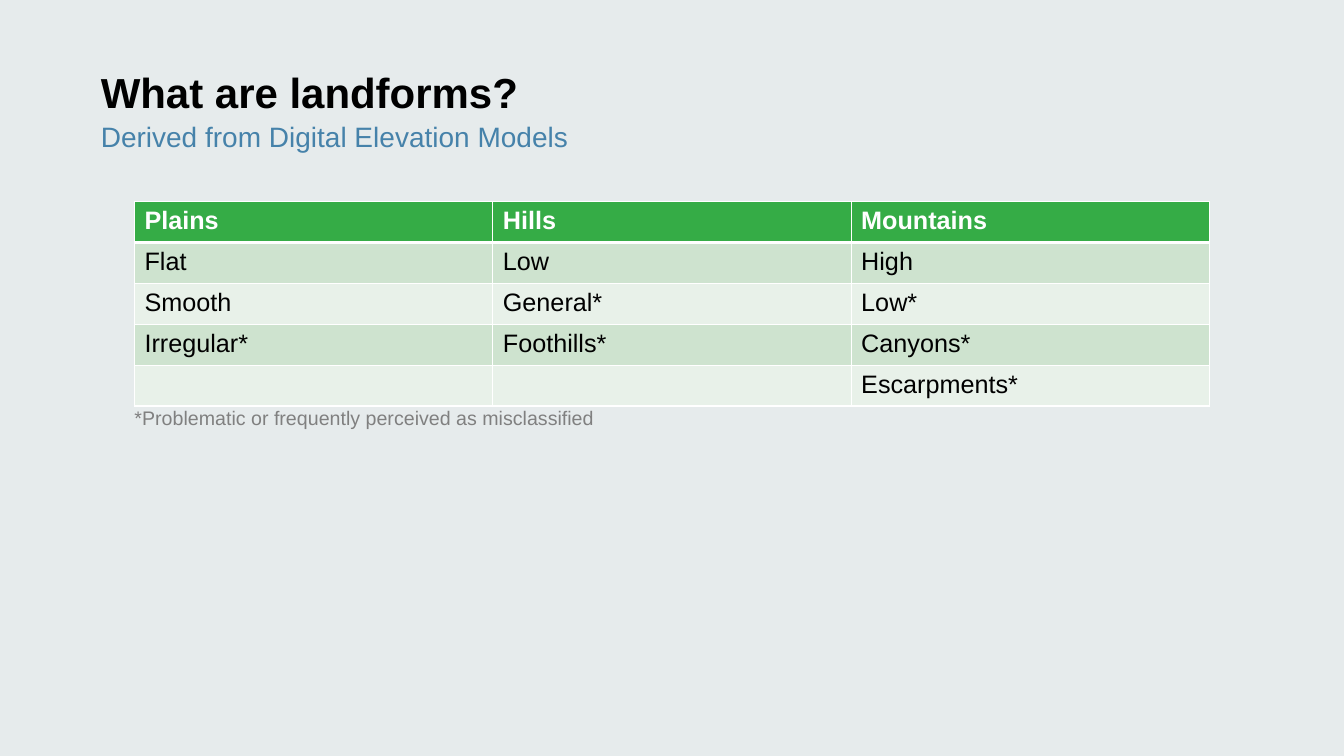
"""Build the landforms slide with its table of classes."""
from lxml.etree import SubElement
from pptx import Presentation
from pptx.dml.color import RGBColor
from pptx.enum.text import MSO_ANCHOR, MSO_AUTO_SIZE, PP_ALIGN
from pptx.oxml.ns import qn
from pptx.util import Cm, Pt

BLACK = RGBColor(0x00, 0x00, 0x00)
WHITE = RGBColor(0xFF, 0xFF, 0xFF)
BLUE = RGBColor(0x46, 0x82, 0xAA)
GRAY = RGBColor(0x80, 0x80, 0x80)
PALE = RGBColor(0xE6, 0xEB, 0xEC)
GREEN = RGBColor(0x35, 0xAC, 0x46)
BANDS = [RGBColor(0xE8, 0xF1, 0xE9), RGBColor(0xCE, 0xE3, 0xCF)]

ROWS = [
    ["Plains", "Hills", "Mountains"],
    ["Flat", "Low", "High"],
    ["Smooth", "General*", "Low*"],
    ["Irregular*", "Foothills*", "Canyons*"],
    ["", "", "Escarpments*"],
]
FRAME = {
    "margin_left": 0, "margin_top": 0, "margin_right": 0, "margin_bottom": 0,
    "word_wrap": True, "auto_size": MSO_AUTO_SIZE.NONE,
    "vertical_anchor": MSO_ANCHOR.TOP,
}


def style(par, size, color, bold=False):
    font = par.font
    for name, value in {"name": "Arial", "size": Pt(size), "bold": bold}.items():
        setattr(font, name, value)
    font.color.rgb = color


def write(shape, box, text, size, color, bold=False):
    for name, value in zip(("left", "top", "width", "height"), box):
        setattr(shape, name, Cm(value))
    frame = shape.text_frame
    for name, value in FRAME.items():
        setattr(frame, name, value)
    frame.text = text
    par = frame.paragraphs[0]
    par.alignment = PP_ALIGN.LEFT
    par.space_before = Pt(0)
    style(par, size, color, bold)
    return par


deck = Presentation()
deck.slide_width, deck.slide_height = Cm(33.87), Cm(19.05)
slide = deck.slides.add_slide(deck.slide_layouts[1])
slide.background.fill.solid()
slide.background.fill.fore_color.rgb = PALE

write(slide.shapes.title, (2.54, 1.68, 28.78, 1.27),
      "What are landforms?", 30, BLACK, True)
lead = write(slide.placeholders[1], (2.54, 3, 28.78, 0.86),
             "Derived from Digital Elevation Models", 20, BLUE)
props = lead._p.get_or_add_pPr()
for name in ("marL", "indent"):
    props.set(name, "0")
SubElement(props, qn("a:buNone"))

grid = slide.shapes.add_table(len(ROWS), 3, Cm(3.39), Cm(5.08),
                              Cm(27.09), Cm(5.15)).table
for r, row in enumerate(ROWS):
    grid.rows[r].height = Cm(1.03)
    for c, text in enumerate(row):
        cell = grid.cell(r, c)
        cell.text = text
        style(cell.text_frame.paragraphs[0], 18, BLACK if r else WHITE, r == 0)
        edges = cell._tc.get_or_add_tcPr()
        for side in "LRTB":
            thick = (side, r) in (("B", 0), ("T", 1))
            line = SubElement(edges, qn("a:ln" + side), w=str(Pt(3 if thick else 1)))
            SubElement(SubElement(line, qn("a:solidFill")), qn("a:srgbClr"), val=str(WHITE))
        cell.fill.solid()
        cell.fill.fore_color.rgb = BANDS[r % 2] if r else GREEN

note = slide.shapes.add_textbox(0, 0, 0, 0)
write(note, (3.39, 10.24, 17, 1),
      "*Problematic or frequently perceived as misclassified", 14, GRAY)

deck.save("out.pptx")
